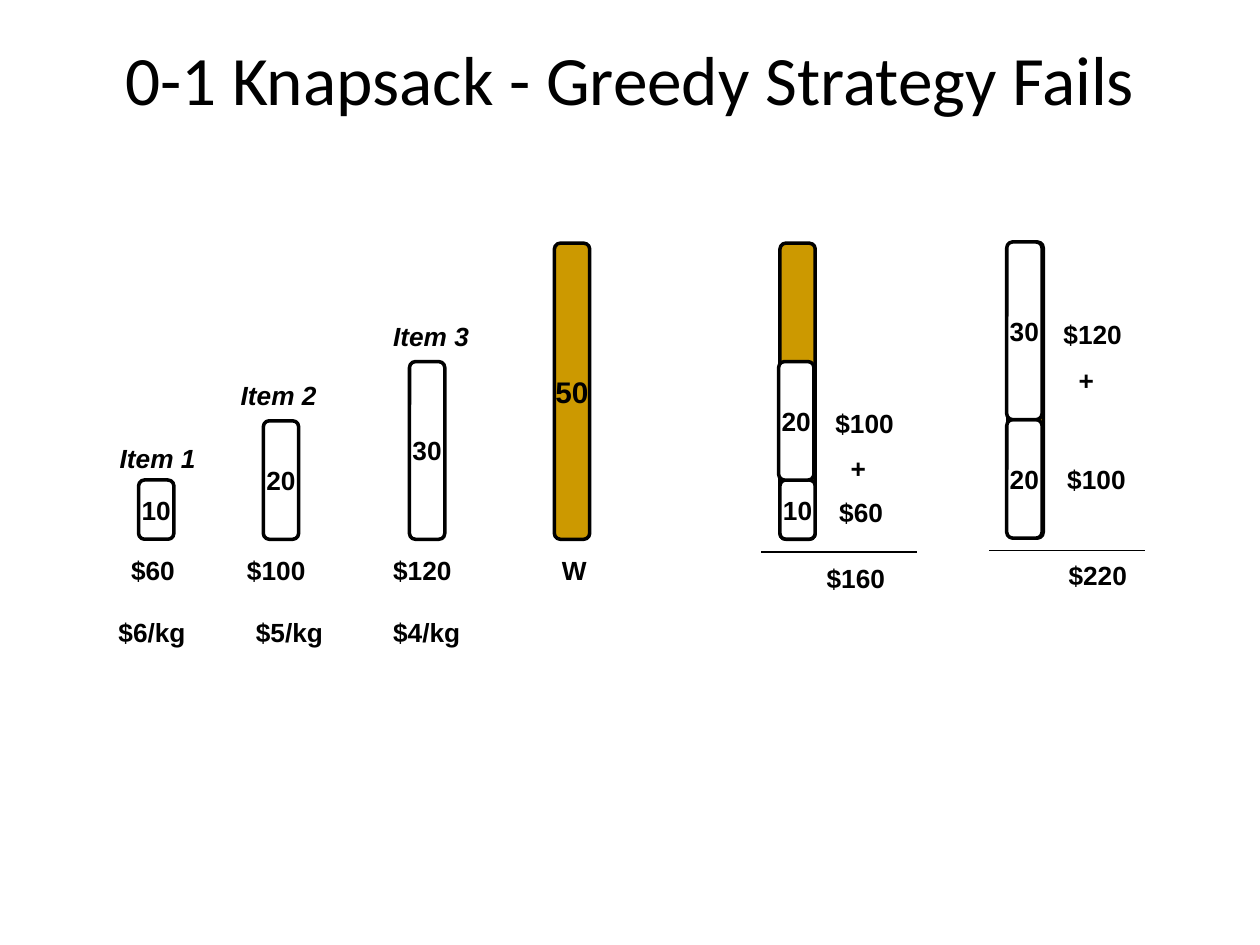
"""Build the 0-1 knapsack slide showing where the greedy strategy fails."""
from lxml import etree
from pptx import Presentation, util as u
from pptx.dml.color import RGBColor
from pptx.enum import shapes, text
from pptx.oxml.ns import qn

deck = Presentation()
deck.slide_width, deck.slide_height = u.Inches(10), u.Inches(7.5)
col, row = deck.slide_width / 100, deck.slide_height / 75
page = deck.slides.add_slide(deck.slide_layouts[6])
hues = {"ink": "000000", "item": "FFFFFF", "sack": "CC9900"}
ink = RGBColor.from_string(hues["ink"])
base, kilo, wide = 42.8, 0.47, 2.8


def write(box, words, size=15, face="Arial", bold=True, slant=False, mid=False):
    frame = box.text_frame
    frame.text = words
    frame.word_wrap = False
    frame.margin_left = frame.margin_right = u.Inches(0.09)
    frame.vertical_anchor = text.MSO_ANCHOR.MIDDLE if mid else text.MSO_ANCHOR.TOP
    for para in frame.paragraphs:
        para.alignment = text.PP_ALIGN.CENTER if mid else text.PP_ALIGN.LEFT
        for run in para.runs:
            font = run.font
            font.name, font.size, font.bold, font.italic = face, u.Pt(size), bold, slant
            font.color.rgb = ink
    return frame


def place(x, y, w, h, kind=None):
    spot = [int(x * col), int(y * row), int(w * col), int(h * row)]
    if kind is None:
        return page.shapes.add_textbox(*spot)
    bar = page.shapes.add_shape(shapes.MSO_SHAPE.ROUNDED_RECTANGLE, *spot)
    bar.shadow.inherit = False
    bar.fill.solid()
    bar.fill.fore_color.rgb = RGBColor.from_string(hues[kind])
    bar.line.color.rgb = ink
    bar.line.width = u.Pt(2)
    return bar


title = write(place(5, 2.35, 90, 6.7), "0-1 Knapsack - Greedy Strategy Fails",
              39.6, "Calibri", False, mid=True)
title.vertical_anchor = text.MSO_ANCHOR.TOP

bars = [
    (11, 0, 10, "item", "10"), (20.9, 0, 20, "item", "20"), (32.5, 0, 30, "item", "30"),
    (44, 0, 50, "sack", "50"),
    (61.9, 0, 50, "sack", ""), (61.9, 0, 10, "item", "10"), (61.8, 10, 20, "item", "20"),
    (80, 0.2, 50, "sack", ""), (79.9, 0.2, 20, "item", "20"), (79.9, 20.2, 30, "item", "30"),
]
for x, low, load, kind, words in bars:
    bar = place(x, base - (low + load) * kilo, wide, load * kilo, kind)
    write(bar, words, 17 if kind == "sack" else 15, mid=True)

for num, (x, y) in enumerate([(8.6, 34.6), (18.2, 29.6), (30.3, 24.9)], 1):
    write(place(x, y, 7.9, 3.5), f"Item {num}", slant=True)

notes = [
    (9.5, 43.5, "$60"), (18.7, 43.5, "$100"), (30.3, 43.5, "$120"), (43.7, 43.5, "W"),
    (8.5, 48.4, "$6/kg"), (19.4, 48.4, "$5/kg"), (30.3, 48.4, "$4/kg"),
    (65.7, 38.9, "$60"), (64.7, 44.1, "$160"),
    (83.8, 36.3, "$100"), (83.9, 43.9, "$220"),
]
for x, y, words in notes:
    write(place(x, y, 7.2, 3.5), words)

for x, y, cost in [(65.4, 31.8, "$100"), (83.5, 24.8, "$120")]:
    plus = write(place(x, y, 6.7, 7.2), f"{cost}\n+").paragraphs[1]
    plus.space_before = u.Pt(8)
    plus._p.get_or_add_pPr().set("marL", str(u.Inches(0.12)))

for x, y in [(60.4, 43.8), (78.5, 43.7)]:
    ends = [int(x * col), int(y * row), int((x + 12.4) * col), int(y * row)]
    rule = page.shapes.add_connector(shapes.MSO_CONNECTOR.STRAIGHT, *ends)
    rule.line.color.rgb = ink
    rule.line.width = u.Pt(0.75)
    etree.SubElement(rule._element.spPr, qn("a:effectLst"))

deck.save("out.pptx")
